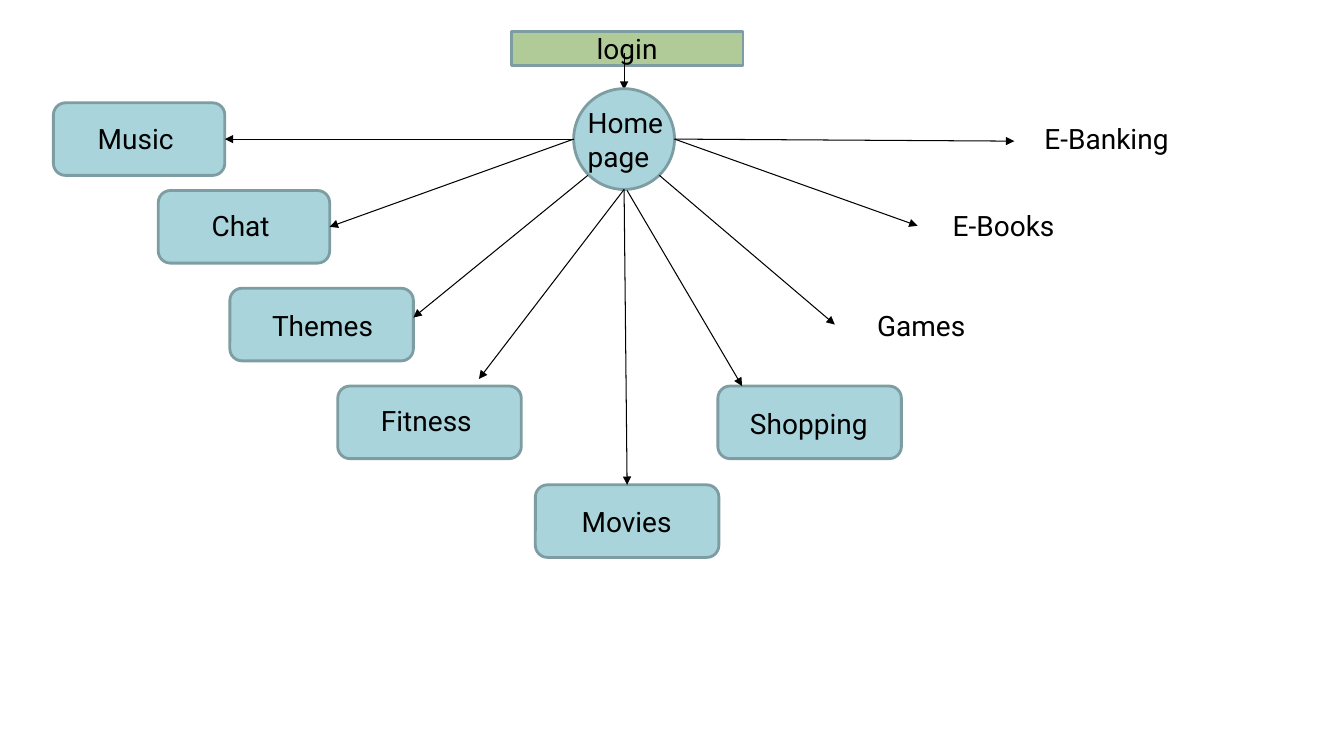
from pptx import Presentation
from pptx.dml.color import RGBColor
from pptx.enum.shapes import MSO_CONNECTOR as Connector, MSO_SHAPE as Preset
from pptx.enum.text import MSO_ANCHOR as Anchor, MSO_AUTO_SIZE as AutoSize, PP_ALIGN as Align
from pptx.oxml.ns import qn
from pptx.util import Inches, Pt
from lxml.etree import SubElement

COLORS = {"login": "B0CA98", "node": "A9D4DB", "border": "7D9DA2", "ink": "000000"}
FONT = "Roboto"
NODE_HEIGHT = 0.72
LABEL_HEIGHT = 0.44

NODES = [
    (0.53, 1.02, 1.7),
    (1.57, 1.89, 1.7),
    (2.28, 2.86, 1.82),
    (7.12, 3.83, 1.82),
    (5.31, 4.81, 1.82),
    (3.35, 3.83, 1.82),
]
ARROWS = [
    (5.69, 1.38, 2.23, 1.38),
    (5.69, 1.38, 3.27, 2.25),
    (6.19, 1.88, 4.75, 3.76),
    (5.83, 1.74, 4.1, 3.15),
    (6.19, 1.88, 6.22, 4.81),
    (6.22, 1.89, 7.36, 3.83),
    (6.54, 1.74, 8.28, 3.22),
    (6.69, 1.38, 9.1, 2.24),
    (6.69, 1.38, 10.06, 1.4),
]
LABELS = [
    ("Music", 0.87, 1.16, 1.42),
    ("Chat", 2, 2.02, 1.24),
    ("Themes", 2.6, 3.01, 1.96),
    ("Fitness", 3.68, 3.95, 1.75),
    ("Movies", 5.67, 4.96, 1.7),
    ("Shopping", 7.34, 3.98, 1.67),
    ("Games", 8.6, 3.01, 1.69),
    ("E-Books", 9.35, 2.02, 1.48),
    ("E-Banking", 10.26, 1.16, 1.71),
]


def color(name):
    return RGBColor.from_string(COLORS[name])


def add_text(para, text):
    span = para.add_run()
    span.text = text
    span.font.name = FONT
    span.font.size = Pt(20)
    span.font.color.rgb = color("ink")


def add_node(page, preset, left, top, width, height, fill):
    shape = page.shapes.add_shape(
        preset, Inches(left), Inches(top), Inches(width), Inches(height)
    )
    shape.shadow.inherit = False
    shape.fill.solid()
    shape.fill.fore_color.rgb = color(fill)
    shape.line.color.rgb = color("border")
    shape.line.width = Pt(2)
    return shape


def add_arrow(page, start_x, start_y, end_x, end_y):
    arrow = page.shapes.add_connector(
        Connector.STRAIGHT, Inches(start_x), Inches(start_y), Inches(end_x), Inches(end_y)
    )
    arrow.line.color.rgb = color("ink")
    arrow.line.width = Pt(0.75)
    SubElement(arrow.line._get_or_add_ln(), qn("a:tailEnd"), type="triangle")
    SubElement(arrow._element.spPr, qn("a:effectLst"))


def add_label(page, text, left, top, width, height=LABEL_HEIGHT):
    box = page.shapes.add_textbox(Inches(left), Inches(top), Inches(width), Inches(height))
    frame = box.text_frame
    frame.word_wrap = True
    frame.auto_size = AutoSize.SHAPE_TO_FIT_TEXT
    add_text(frame.paragraphs[0], text)


def add_login(page):
    login = add_node(page, Preset.RECTANGLE, 5.07, 0.31, 2.3, 0.34, "login")
    login.text_frame.vertical_anchor = Anchor.MIDDLE
    para = login.text_frame.paragraphs[0]
    para.alignment = Align.CENTER
    add_text(para, "login")
    add_arrow(page, 6.19, 0.53, 6.19, 0.89)


def main():
    deck = Presentation()
    deck.slide_width = Inches(13.33)
    deck.slide_height = Inches(7.5)
    page = deck.slides.add_slide(deck.slide_layouts[6])

    add_login(page)
    for left, top, width in NODES:
        add_node(page, Preset.ROUNDED_RECTANGLE, left, top, width, NODE_HEIGHT, "node")
    add_node(page, Preset.OVAL, 5.69, 0.88, 1, 1, "node")
    for ends in ARROWS:
        add_arrow(page, *ends)
    add_label(page, "Home page", 5.73, 1, 1.1, 0.77)
    for label in LABELS:
        add_label(page, *label)

    deck.save("out.pptx")


if __name__ == "__main__":
    main()
